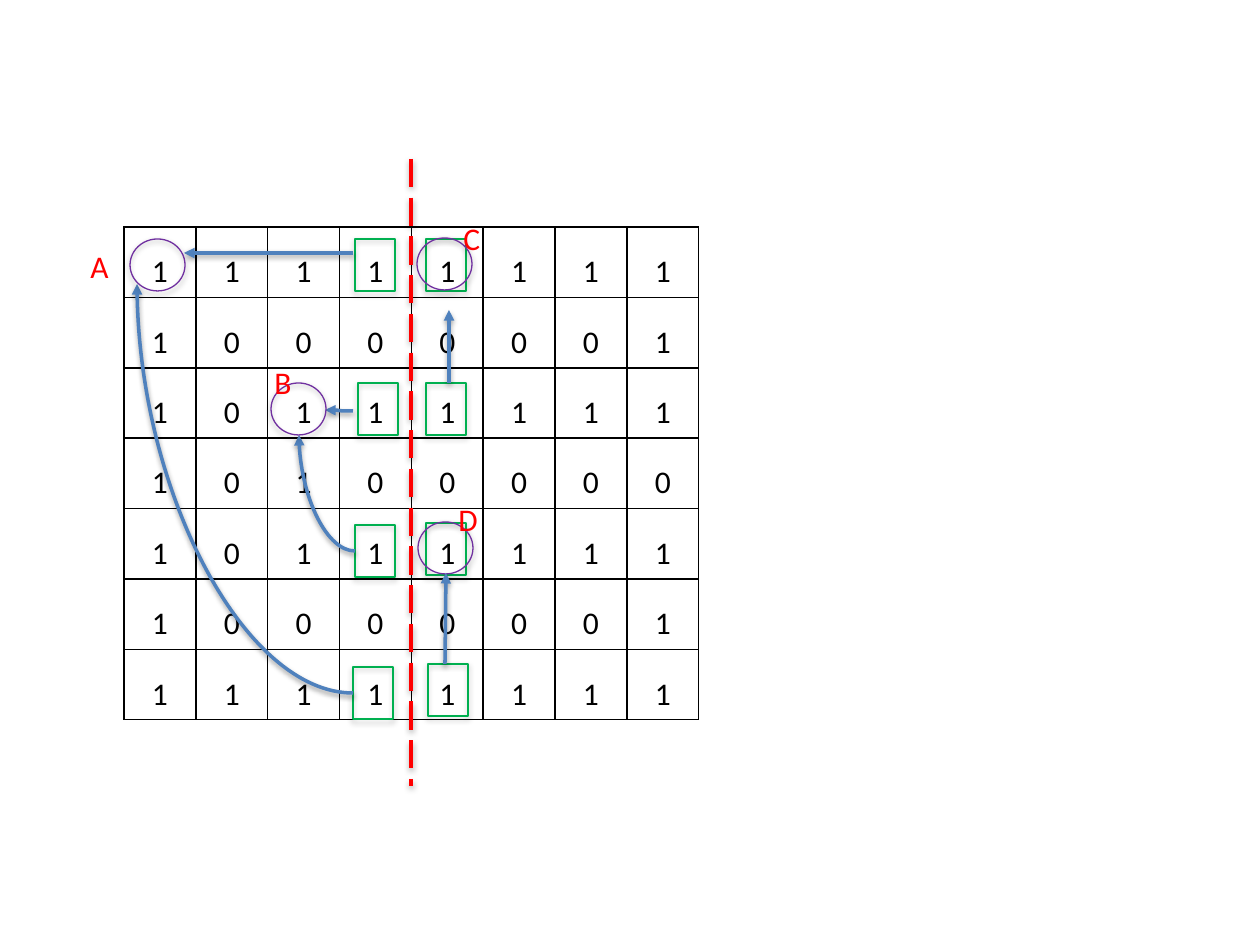
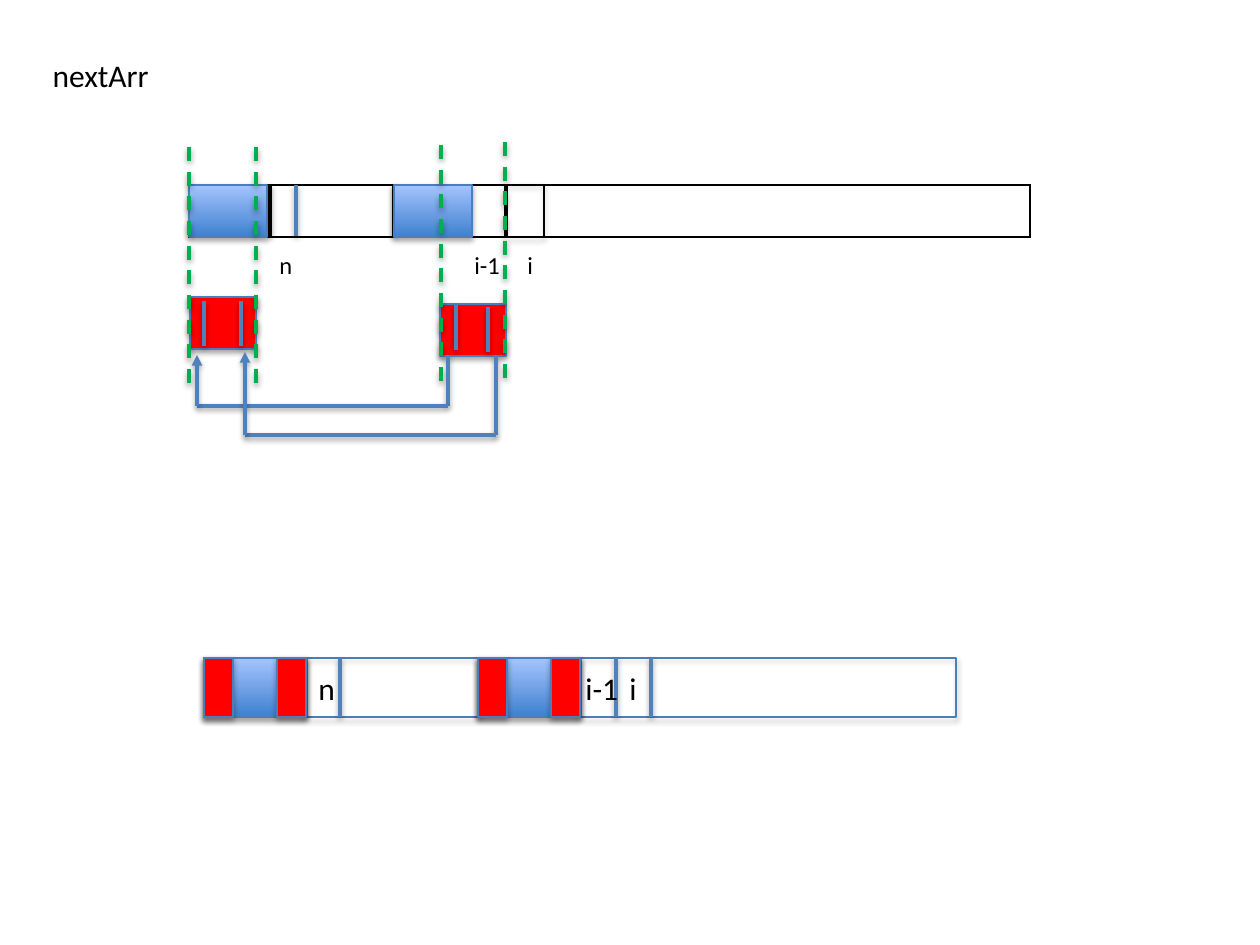
from pptx import Presentation
from pptx.dml.color import RGBColor
from pptx.enum.dml import MSO_LINE
from pptx.enum.shapes import MSO_CONNECTOR, MSO_SHAPE
from pptx.enum.text import MSO_ANCHOR, MSO_AUTO_SIZE, PP_ALIGN
from pptx.oxml import parse_xml
from pptx.oxml.ns import nsdecls, qn
from pptx.util import Emu, Pt

EMU_PER_PX = 914400 / 126
FONT = "Calibri"
BLACK, RED, GREEN, PURPLE = "000000", "FF0000", "00B050", "7030A0"
BLUE, EDGE = "4F81BD", "4B7EBC"
GRADIENT = ("3F80CE", "A4C4FF")
BITS = ("11111111", "10000001", "10111111", "10100000",
        "10111111", "10000001", "11111111")


def px(*lengths):
    """Turn pixel lengths into a list of EMU values."""
    return [Emu(round(v * EMU_PER_PX)) for v in lengths]


def rgb(value):
    """Return the colour of a hex string."""
    return RGBColor.from_string(value)


def add_shadow(shape, dist, alpha):
    """Give a shape whose line is set a soft shadow below it."""
    shape._element.spPr.append(parse_xml(
        f'<a:effectLst {nsdecls("a")}><a:outerShdw blurRad="40000" '
        f'dist="{dist}" dir="5400000" rotWithShape="0"><a:srgbClr val="{BLACK}">'
        f'<a:alpha val="{alpha}000"/></a:srgbClr></a:outerShdw></a:effectLst>'))


def add_box(shapes, x, y, w, h, line=EDGE, fill=None, kind=MSO_SHAPE.RECTANGLE):
    """Add an outlined shape with no fill, a plain fill or a gradient."""
    sp = shapes.add_shape(kind, *px(x, y, w, h))
    if fill is None:
        sp.fill.background()
    elif isinstance(fill, tuple):
        sp.fill.gradient()
        sp.fill.gradient_angle = 90
        for stop, colour in zip(sp.fill.gradient_stops, fill):
            stop.color.rgb = rgb(colour)
    else:
        sp.fill.solid()
        sp.fill.fore_color.rgb = rgb(fill)
    sp.line.color.rgb = rgb(line)
    sp.line.width = Pt(0.75)
    add_shadow(sp, 23000, 35)


def style_line(c, colour=BLUE, dash=None, arrow=False):
    """Format a connector and its optional arrowhead."""
    c.line.color.rgb = rgb(colour)
    c.line.width = Pt(2)
    if dash:
        c.line.dash_style = dash
    if arrow:
        c._element.spPr.find(qn("a:ln")).append(
            parse_xml(f'<a:tailEnd {nsdecls("a")} type="triangle"/>'))
    add_shadow(c, 20000, 38)


def add_line(shapes, x1, y1, x2, y2, **style):
    """Add a straight line from the first point to the second."""
    style_line(shapes.add_connector(MSO_CONNECTOR.STRAIGHT, *px(x1, y1, x2, y2)), **style)


def add_curve(shapes, x1, y1, x2, y2, preset="curvedConnector2"):
    """Add a curved arrow that runs to the left and up."""
    c = shapes.add_connector(MSO_CONNECTOR.CURVE, *px(x2, y2, x1, y1))
    spPr = c._element.spPr
    spPr.find(qn("a:xfrm")).set("rot", "10800000")
    spPr.find(qn("a:prstGeom")).set("prst", preset)
    style_line(c, arrow=True)


def put_text(tf, text, size=18, colour=BLACK, align=PP_ALIGN.LEFT):
    """Write one formatted run into a text frame."""
    p = tf.paragraphs[0]
    p.alignment = align
    r = p.add_run()
    r.text = text
    r.font.name, r.font.size = FONT, Pt(size)
    r.font.color.rgb = rgb(colour)


def fit_frame(tf):
    """Make a text frame unwrapped, top anchored and as big as its text."""
    tf.word_wrap = False
    tf.auto_size = MSO_AUTO_SIZE.SHAPE_TO_FIT_TEXT
    tf.vertical_anchor = MSO_ANCHOR.TOP


def add_label(shapes, text, x, y, w, h=50, **style):
    """Add a text box that fits its text."""
    tf = shapes.add_textbox(*px(x, y, w, h)).text_frame
    fit_frame(tf)
    put_text(tf, text, **style)


def add_grid(shapes, x, y, widths, heights, rows):
    """Add an unfilled table with thin black borders."""
    table = shapes.add_table(len(heights), len(widths),
                             *px(x, y, sum(widths), sum(heights))).table
    table.first_row = table.horz_banding = False
    for col, w in zip(table.columns, px(*widths)):
        col.width = w
    for row, h in zip(table.rows, px(*heights)):
        row.height = h
    for row, texts in zip(table.rows, rows):
        for cell, text in zip(row.cells, texts):
            cell.vertical_anchor = MSO_ANCHOR.BOTTOM
            if text:
                put_text(cell.text_frame, text, align=PP_ALIGN.CENTER)
            tcPr = cell._tc.get_or_add_tcPr()
            for side in "LRTB":
                tcPr.append(parse_xml(
                    f'<a:ln{side} {nsdecls("a")} w="12700"><a:solidFill>'
                    f'<a:srgbClr val="{BLACK}"/></a:solidFill></a:ln{side}>'))
            cell.fill.background()


def build_matrix_slide(prs):
    """Build the slide with the bit matrix split by a dashed line."""
    shapes = prs.slides.add_slide(prs.slide_layouts[6]).shapes
    add_grid(shapes, 124, 227, [575 / 8] * 8, [493 / 7] * 7, BITS)
    add_line(shapes, 411, 159, 411, 786, colour=RED, dash=MSO_LINE.LONG_DASH)
    for x, y in ((353, 667), (426, 239), (358, 383), (426, 383),
                 (355, 525), (426, 523), (355, 239), (428, 664)):
        add_box(shapes, x, y, 40, 52, line=GREEN)
    add_line(shapes, 353, 253, 184, 253, arrow=True)
    add_curve(shapes, 353, 693, 137, 284)
    add_curve(shapes, 353, 411, 325, 410, preset="curvedConnector3")
    add_curve(shapes, 355, 551, 299, 435)
    for x, y in ((130, 239), (271, 383), (417, 238), (418, 522)):
        add_box(shapes, x, y, 55, 52, line=PURPLE, kind=MSO_SHAPE.OVAL)
    add_line(shapes, 449, 383, 449, 310, arrow=True)
    add_line(shapes, 445, 664, 446, 573, arrow=True)
    for text, x, y in (("A", 78, 241), ("B", 262, 357), ("C", 451, 213), ("D", 446, 494)):
        add_label(shapes, text, x, y, 44, colour=RED)


def add_result_strip(shapes):
    """Add the lower strip, where each blue block has two red ends."""
    top, height, block, end = 658, 59, 102, 29
    add_box(shapes, 204, top, 752, height)
    for x in (306, 340, 479, 580, 616, 651):
        add_line(shapes, x, top, x, top + height)
    for left in (204, 478):
        add_box(shapes, left, top, block, height, fill=GRADIENT)
        for x in (left, left + block - end):
            add_box(shapes, x, top, end, height, fill=RED)
    for text, x, w in (("n", 306, 43), ("i-1", 573, 58), ("i", 617, 33)):
        add_label(shapes, text, x, 663, w)


def add_compare_strip(shapes):
    """Add the upper strip with its markers, red blocks and links."""
    top, height = 185, 52
    add_grid(shapes, 189, top, [280, 38, 523], [height], [[""] * 3])
    add_box(shapes, 505, top, 39, height, line=BLACK)
    for text, x, w in (("i-1", 462, 52), ("i", 515, 32), ("n", 267, 39)):
        add_label(shapes, text, x, 244, w, 43, size=14)
    for x in (394, 270):
        add_line(shapes, x, top, x, 236, colour=BLACK)
    for x in (394, 189):
        add_box(shapes, x, top, 78, height, fill=GRADIENT)
    add_line(shapes, 296, top, 296, 236)
    for x, y in ((440, 304), (190, 297)):
        add_box(shapes, x, y, 66, height, fill=RED)
    for x, y in ((505, 142), (441, 145), (256, 147), (189, 147)):
        add_line(shapes, x, y, x, y + 246, colour=GREEN, dash=MSO_LINE.DASH)
    for x, y in ((204, 301), (241, 301), (456, 305), (488, 307)):
        add_line(shapes, x, y, x, y + 45)
    for right, left, bottom, tip in ((448, 197, 406, 355), (496, 245, 435, 352)):
        add_line(shapes, right, 355, right, bottom)
        add_line(shapes, right, bottom, left, bottom)
        add_line(shapes, left, bottom, left, tip, arrow=True)


def build_next_slide(prs):
    """Build the slide that shows how the next array is filled."""
    s = prs.slides.add_slide(prs.slide_layouts[5])
    title = s.shapes.title
    title.left, title.top, title.width, title.height = px(40, 50, 122, 50)
    fit_frame(title.text_frame)
    put_text(title.text_frame, "nextArr")
    add_result_strip(s.shapes.add_group_shape().shapes)
    add_compare_strip(s.shapes)


def main():
    """Build and save the presentation."""
    prs = Presentation()
    prs.slide_width, prs.slide_height = px(1260, 945)
    build_matrix_slide(prs)
    build_next_slide(prs)
    prs.save("out.pptx")


main()
